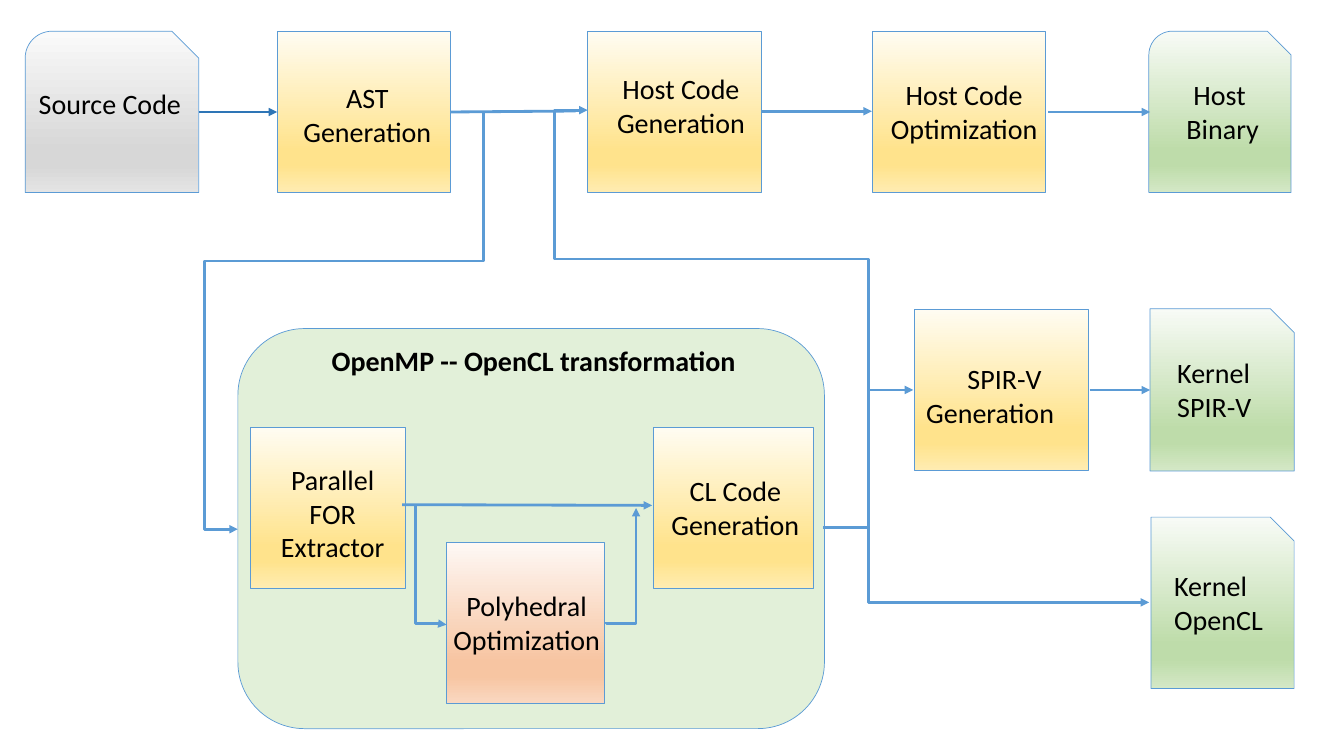
from typing import NamedTuple

import pptx
import pptx.dml.color
import pptx.enum.shapes
import pptx.enum.text
import pptx.oxml.ns
import pptx.util
from lxml import etree

SHAPES = pptx.enum.shapes.MSO_SHAPE
ALIGN = pptx.enum.text.PP_ALIGN
LINES = pptx.enum.shapes.MSO_CONNECTOR
BLUE = "5B9BD5"
DARK_BLUE = "2E75B6"
STOPS = (0, 74, 83, 100)
YELLOW = ("FFFCF2", "FFE38C", "FFE38C", "FFECB2")
GREEN = ("F8FBF6", "BEDCAA", "BEDCAA", "D4E8C6")
GRAY = ("FAFAFA", "D7D7D7", "D7D7D7", "E4E4E4")
ORANGE = ("FEF8F5", "F7C5A2", "F7C5A2", "FAD8C1")
TOP_ROW = 22.32
STAGE_WIDTH = 124
STAGE_HEIGHT = 115.2


class Block(NamedTuple):
    left: float
    top: float
    width: float
    height: float
    fill: tuple[str, ...]
    kind: SHAPES = SHAPES.RECTANGLE


class Label(NamedTuple):
    left: float
    top: float
    width: float
    height: float
    lines: tuple[str, ...]
    aligns: tuple[ALIGN, ...] = (ALIGN.CENTER, ALIGN.CENTER)
    bold: bool = False


class Arrow(NamedTuple):
    begin: tuple[float, float]
    end: tuple[float, float]
    color: str = BLUE
    head: bool = True


class Elbow(NamedTuple):
    begin: tuple[float, float]
    end: tuple[float, float]
    preset: str
    adjusts: tuple[int, ...] = ()
    vertical: bool = False


BLOCKS = [
    Block(169.9, 234.7, 419, 285.8, ("E2F0D9",), SHAPES.ROUNDED_RECTANGLE),
    Block(18, TOP_ROW, STAGE_WIDTH, STAGE_HEIGHT, GRAY, SHAPES.SNIP_ROUND_RECTANGLE),
    *(Block(left, TOP_ROW, STAGE_WIDTH, STAGE_HEIGHT, YELLOW) for left in (198, 419.6, 622.8)),
    Block(820.6, TOP_ROW, 101.5, STAGE_HEIGHT, GREEN, SHAPES.SNIP_ROUND_RECTANGLE),
    Block(178.6, 305.3, 110.9, STAGE_HEIGHT, YELLOW),
    Block(319, 387.4, 113, STAGE_HEIGHT, ORANGE),
    Block(466.6, 305.3, 114.5, STAGE_HEIGHT, YELLOW),
    Block(653.5, 221, STAGE_WIDTH, STAGE_HEIGHT, YELLOW),
    Block(821.5, 220.5, 103, 116, GREEN, SHAPES.SNIP_1_RECTANGLE),
    Block(822.2, 369.4, 102.2, 122.4, GREEN, SHAPES.SNIP_1_RECTANGLE),
]

LEFT_PAIR = (ALIGN.LEFT, ALIGN.LEFT)
LABELS = [
    Label(18, 58.3, 121, 31.5, ("Source Code",)),
    Label(195.8, 54, 133.2, 55.4, ("AST", "Generation")),
    Label(419.8, 47.5, 133.2, 55.4, ("Host Code", "Generation")),
    Label(611.3, 51.8, 154.8, 55.4, ("Host Code", "Optimization")),
    Label(816.5, 51.8, 113.8, 55.4, ("Host ", "Binary")),
    Label(218.9, 241.9, 324.7, 31.5, ("OpenMP -- OpenCL transformation",), bold=True),
    Label(182.2, 326.9, 110.9, 80, ("Parallel FOR Extractor",)),
    Label(302.4, 416.9, 147.6, 55.4, ("Polyhedral", "Optimization")),
    Label(460.1, 334.8, 130.3, 55.4, ("CL Code Generation",)),
    Label(654.5, 254.9, 126, 55.4, ("SPIR-V", "Generation"), (ALIGN.CENTER, ALIGN.LEFT)),
    Label(833.8, 250.6, 105.1, 55.4, ("Kernel", "SPIR-V"), LEFT_PAIR),
    Label(831.6, 402.5, 92.9, 55.4, ("Kernel", "OpenCL"), LEFT_PAIR),
]

ARROWS = [
    Arrow((141.8, 80), (198, 80), DARK_BLUE),
    Arrow((321.8, 80), (411.1, 79.3), head=False),
    Arrow((543.6, 79.5), (622.8, 79.5)),
    Arrow((748.8, 80), (821.5, 80)),
    Arrow((778.3, 278.6), (821.5, 278.6)),
    Arrow((287.3, 360.5), (465.8, 361)),
]

ELBOWS = [
    Elbow((321.8, 80), (169.9, 378), "bentConnector5", (-15700, 35700, 115700)),
    Elbow((588.2, 376.6), (419.8, 78.7), "bentConnector5", (-19200, 64300, 114100)),
    Elbow((620.6, 377.3), (820.8, 430.3), "bentConnector3", (-100,)),
    Elbow((620.6, 377.3), (652.3, 278.6), "bentConnector2", vertical=True),
    Elbow((433.4, 444.5), (454.3, 362.9), "bentConnector3", (-1200,), True),
    Elbow((296.6, 361.4), (319, 446.2), "bentConnector3", (99200,), True),
]


def rgb(code: str) -> pptx.dml.color.RGBColor:
    return pptx.dml.color.RGBColor.from_string(code)


def add_child(parent, tag: str, **attributes: str):
    return etree.SubElement(parent, pptx.oxml.ns.qn(tag), **attributes)


def find(element, tag: str):
    return element.find(".//" + pptx.oxml.ns.qn(tag))


def draw_block(page, block: Block) -> None:
    frame = [pptx.util.Pt(value) for value in block[:4]]
    shape = page.shapes.add_shape(block.kind, *frame)
    shape.shadow.inherit = False
    shape.line.color.rgb = rgb(BLUE)
    shape.line.width = pptx.util.Pt(0.5)
    if len(block.fill) == 1:
        shape.fill.solid()
        shape.fill.fore_color.rgb = rgb(block.fill[0])
        return
    shape.fill.gradient()
    shape.fill.gradient_angle = 270
    stop_list = find(shape.element, "a:gsLst")
    for stop in list(stop_list):
        stop_list.remove(stop)
    for position, color in zip(STOPS, block.fill):
        stop = add_child(stop_list, "a:gs", pos=str(position * 1000))
        add_child(stop, "a:srgbClr", val=color)


def draw_label(page, label: Label) -> None:
    frame = [pptx.util.Pt(value) for value in label[:4]]
    box = page.shapes.add_textbox(*frame)
    box.text_frame.word_wrap = True
    for index, (line, align) in enumerate(zip(label.lines, label.aligns)):
        para = box.text_frame.add_paragraph() if index else box.text_frame.paragraphs[0]
        para.alignment = align
        span = para.add_run()
        span.text = line
        span.font.name = "Calibri"
        span.font.size = pptx.util.Pt(20)
        span.font.bold = label.bold
        span.font.color.rgb = rgb("000000")


def add_line(page, kind: LINES, arrow: Arrow):
    ends = [pptx.util.Pt(value) for value in (*arrow.begin, *arrow.end)]
    connector = page.shapes.add_connector(kind, *ends)
    connector.line.color.rgb = rgb(arrow.color)
    connector.line.width = pptx.util.Pt(2)
    if arrow.head:
        add_child(find(connector.element, "a:ln"), "a:tailEnd", type="triangle")
    add_child(connector.element.spPr, "a:effectLst")
    return connector


def draw_elbow(page, elbow: Elbow) -> None:
    (x1, y1), (x2, y2) = elbow.begin, elbow.end
    if elbow.vertical:
        center_x, center_y = (x1 + x2) / 2, (y1 + y2) / 2
        half_x, half_y = (y2 - y1) / 2, (x1 - x2) / 2
        x1, y1 = center_x - half_x, center_y - half_y
        x2, y2 = center_x + half_x, center_y + half_y
    connector = add_line(page, LINES.ELBOW, Arrow((x1, y1), (x2, y2)))
    if elbow.vertical:
        find(connector.element, "a:xfrm").set("rot", "5400000")
    geometry = find(connector.element, "a:prstGeom")
    geometry.set("prst", elbow.preset)
    for number, value in enumerate(elbow.adjusts, 1):
        name = f"adj{number}"
        add_child(find(geometry, "a:avLst"), "a:gd", name=name, fmla=f"val {value}")


def main() -> None:
    deck = pptx.Presentation()
    deck.slide_width = pptx.util.Pt(960)
    deck.slide_height = pptx.util.Pt(540)
    page = deck.slides.add_slide(deck.slide_layouts[6])
    for block in BLOCKS:
        draw_block(page, block)
    for label in LABELS:
        draw_label(page, label)
    for arrow in ARROWS:
        add_line(page, LINES.STRAIGHT, arrow)
    for elbow in ELBOWS:
        draw_elbow(page, elbow)
    deck.save("out.pptx")


if __name__ == "__main__":
    main()
